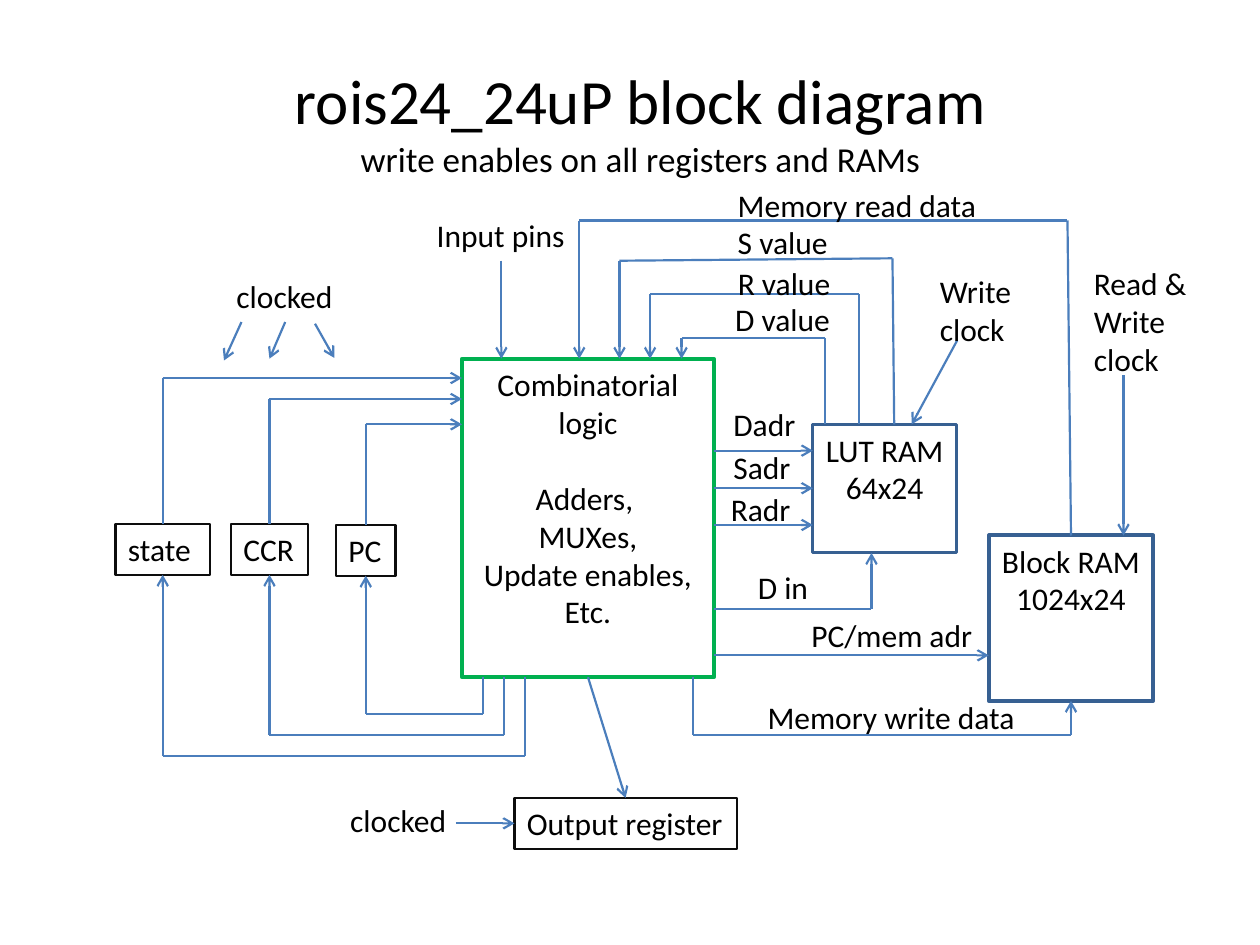
from dataclasses import dataclass

from lxml.etree import SubElement
from pptx import Presentation
from pptx.dml.color import RGBColor
from pptx.enum.shapes import MSO_CONNECTOR as Connector, MSO_SHAPE as Shape
from pptx.enum.text import MSO_ANCHOR as Anchor, PP_ALIGN as Align
from pptx.oxml.ns import qn
from pptx.util import Pt

TOP, LEFT, BOTTOM = range(3)
LINE_HEIGHT = 22
REGISTER_LINE = "0D0D0D"
RAM_LINE = "376092"
LOGIC_LINE = "00B050"


def colour(value):
    return RGBColor.from_string(value)


@dataclass
class Diagram:
    slide: object
    font: str = "Calibri"
    ink: str = "000000"
    wire: str = "4B7EBC"
    wire_width: float = 1.25
    size: float = 18

    def add_text(self, paragraph, text, size):
        run = paragraph.add_run()
        run.text = text
        run.font.name = self.font
        run.font.size = Pt(size)
        run.font.color.rgb = colour(self.ink)

    def fill_text(self, shape, lines, align, wrap):
        frame = shape.text_frame
        frame.word_wrap = wrap
        frame.vertical_anchor = Anchor.TOP
        paragraph, gap = frame.paragraphs[0], 0
        for index, line in enumerate(lines):
            if not line:
                gap += LINE_HEIGHT
                continue
            if index:
                paragraph = frame.add_paragraph()
            paragraph.alignment = align
            paragraph.space_before = Pt(gap)
            gap = 0
            self.add_text(paragraph, line, self.size)

    def title(self, heading, subheading, left, top, width, height):
        shape = self.slide.shapes.add_textbox(Pt(left), Pt(top), Pt(width), Pt(height))
        frame = shape.text_frame
        frame.word_wrap = True
        frame.vertical_anchor = Anchor.MIDDLE
        paragraph = frame.paragraphs[0]
        paragraph.alignment = Align.CENTER
        self.add_text(paragraph, heading, 36)
        paragraph.add_line_break()
        self.add_text(paragraph, subheading, 20)

    def box(self, text, left, top, width, height, line, weight=1.25,
            align=Align.CENTER, wrap=False):
        shape = self.slide.shapes.add_shape(
            Shape.RECTANGLE, Pt(left), Pt(top), Pt(width), Pt(height))
        shape.shadow.inherit = False
        shape.fill.background()
        shape.line.color.rgb = colour(line)
        shape.line.width = Pt(weight)
        self.fill_text(shape, text.split("\n"), align, wrap)
        return shape

    def register(self, text, left, top, width, wrap=False):
        return self.box(text, left, top, width, 29, REGISTER_LINE,
                        align=Align.LEFT, wrap=wrap)

    def label(self, text, left, top, width):
        lines = text.split("\n")
        height = LINE_HEIGHT * len(lines) + 7
        shape = self.slide.shapes.add_textbox(Pt(left), Pt(top), Pt(width), Pt(height))
        self.fill_text(shape, lines, Align.LEFT, False)

    def route(self, *points, start=None, end=None, arrow=True):
        last = len(points) - 2
        for index, (begin, finish) in enumerate(zip(points, points[1:])):
            connector = self.slide.shapes.add_connector(
                Connector.STRAIGHT, *(Pt(value) for value in begin + finish))
            connector.line.color.rgb = colour(self.wire)
            connector.line.width = Pt(self.wire_width)
            properties = connector._element.spPr
            if index == last and arrow:
                SubElement(properties.find(qn("a:ln")), qn("a:tailEnd"), type="arrow")
            SubElement(properties, qn("a:effectLst"))
            if index == 0 and start:
                connector.begin_connect(*start)
            if index == last and end:
                connector.end_connect(*end)


def main():
    presentation = Presentation()
    presentation.slide_width, presentation.slide_height = Pt(720), Pt(540)
    diagram = Diagram(presentation.slides.add_slide(presentation.slide_layouts[6]))

    diagram.title("rois24_24uP block diagram",
                  "write enables on all registers and RAMs", 42, 24, 648, 90)

    pc = diagram.register("PC", 192, 300, 34)
    state = diagram.register("state", 66, 299.5, 54, wrap=True)
    ccr = diagram.register("CCR", 132, 299.5, 44)
    output = diagram.register("Output register", 294, 456, 127)
    logic = diagram.box(
        "Combinatorial logic\n\nAdders, \nMUXes,\nUpdate enables,\nEtc.",
        264, 205, 144, 182, LOGIC_LINE, 2.25, wrap=True)
    lut_ram = diagram.box("LUT RAM\n64x24", 464.5, 242.5, 82, 73, RAM_LINE, 1.75)
    block_ram = diagram.box("Block RAM\n1024x24", 565, 306, 94, 94.5, RAM_LINE, 2.25)

    registers = [(pc, 209, 242.5), (ccr, 154, 228), (state, 93, 216)]
    for index, (register, x, entry) in enumerate(registers):
        leave, low = 276 + 12 * index, 408 + 12 * index
        diagram.route((leave, 387), (leave, low), (x, low), (x, 329),
                      end=(register, BOTTOM))
        diagram.route((x, 300), (x, entry), (264, entry), start=(register, TOP))

    for source, high, target in [(471.6, 193, 389.5), (491, 168, 371.5)]:
        diagram.route((source, 242.5), (source, high), (target, high), (target, 205))
    diagram.route((511, 242.5), (510, 147.6), (354, 149), (354, 205))
    diagram.route((612, 306), (610, 126), (331, 126), (331, 205), start=(block_ram, TOP))

    for y, end in [(257.5, None), (279, (lut_ram, LEFT)), (300, None)]:
        diagram.route((408, y), (464.5, y), end=end)
    diagram.route((408, 348), (498, 348), (498, 316))
    diagram.route((408, 374.5), (565, 374.5))
    diagram.route((396, 387), (396, 420), (612, 420), (612, 400.5),
                  end=(block_ram, BOTTOM))
    diagram.route((336, 387), (357.5, 456), start=(logic, BOTTOM), end=(output, TOP))
    diagram.route((260.5, 470.5), (294, 470.5), end=(output, LEFT))

    for begin, finish in [
        ((286.5, 149), (286.5, 205)),
        ((138, 184), (128, 206)),
        ((163, 184), (154, 205)),
        ((180, 185), (191, 204.5)),
        ((547, 194.5), (521, 242.5)),
        ((642, 214.5), (642, 306)),
    ]:
        diagram.route(begin, finish)

    for text, left, top, width in [
        ("Input pins", 242.5, 120, 88.5),
        ("Memory read data", 414.5, 103, 152.5),
        ("S value", 414.5, 124, 66),
        ("R value", 414.5, 147.5, 68.5),
        ("D value", 413, 168, 69),
        ("D in", 426, 321, 44),
        ("PC/mem adr", 456.5, 348.5, 107),
        ("Memory write data", 431.5, 395.5, 157),
        ("Dadr", 412, 228, 50.5),
        ("Sadr", 412, 252.5, 47.5),
        ("Radr", 410.5, 276.5, 49),
        ("clocked", 128, 155, 70),
        ("clocked", 193, 454, 70),
        ("Write\nclock", 530, 152, 55.5),
        ("Read &\nWrite\nclock", 618, 147.5, 67.5),
    ]:
        diagram.label(text, left, top, width)

    presentation.save("out.pptx")


if __name__ == "__main__":
    main()
